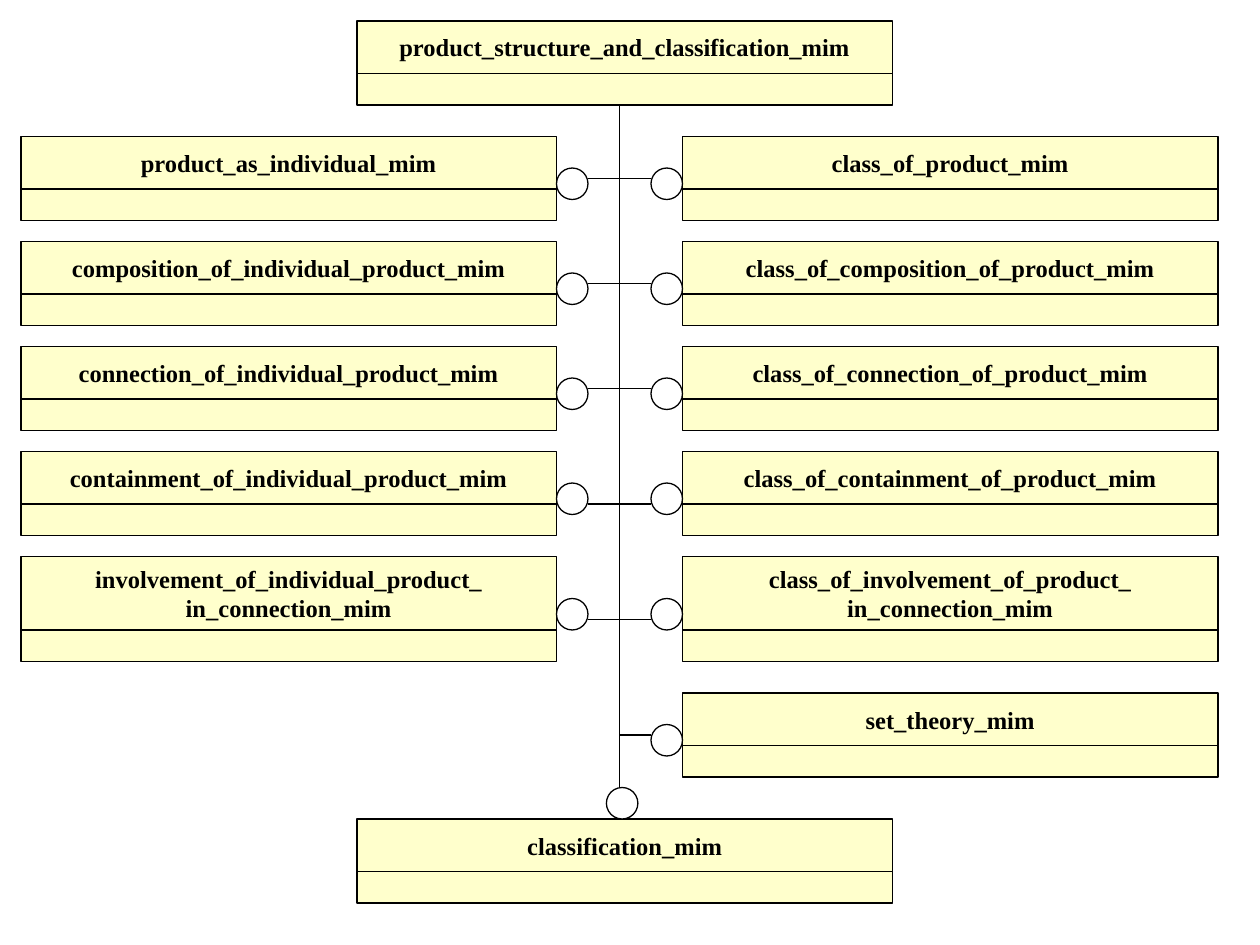
from lxml import etree
from pptx import Presentation
from pptx.dml.color import RGBColor
from pptx.enum import shapes, text
from pptx.oxml import ns
from pptx.util import Pt

COLORS = {"module": "FFFFCC", "marker": "FFFFFF", "ink": "000000"}
FONT = {"name": "Times New Roman", "size": Pt(14), "bold": True}
FRAME = {"word_wrap": False, "vertical_anchor": text.MSO_ANCHOR.MIDDLE}
LINE_WIDTH = 0.75
MODULE_WIDTH, BODY_HEIGHT, MARKER_SIZE = 306, 18, 18
LEFT_X, CENTER_X, RIGHT_X = 12, 204, 390
LEFT_END = LEFT_X + MODULE_WIDTH
TRUNK_X = 354

ROWS = [
    (78, 30, 102, "product_as_individual_mim", "class_of_product_mim"),
    (138, 30, 162, "composition_of_individual_product_mim",
     "class_of_composition_of_product_mim"),
    (198, 30, 222, "connection_of_individual_product_mim",
     "class_of_connection_of_product_mim"),
    (258, 30, 288, "containment_of_individual_product_mim",
     "class_of_containment_of_product_mim"),
    (318, 42, 354, "involvement_of_individual_product_\nin_connection_mim",
     "class_of_involvement_of_product_\nin_connection_mim"),
    (396, 30, 420, None, "set_theory_mim"),
]


def rgb(key):
    return RGBColor.from_string(COLORS[key])


class Diagram:
    def __init__(self, slide):
        self.slide = slide

    def outline(self, line):
        line.color.rgb = rgb("ink")
        line.width = Pt(LINE_WIDTH)

    def block(self, parent, kind, fill, x, y, width, height):
        block = parent.add_shape(kind, Pt(x), Pt(y), Pt(width), Pt(height))
        block.shadow.inherit = False
        block.fill.solid()
        block.fill.fore_color.rgb = rgb(fill)
        self.outline(block.line)
        return block

    def module(self, x, y, title, title_height=30):
        group = self.slide.shapes.add_group_shape().shapes
        rectangle = shapes.MSO_SHAPE.RECTANGLE
        heading = self.block(group, rectangle, "module",
                             x, y, MODULE_WIDTH, title_height)
        self.block(group, rectangle, "module",
                   x, y + title_height, MODULE_WIDTH, BODY_HEIGHT)
        frame = heading.text_frame
        frame.text = title
        for key, value in FRAME.items():
            setattr(frame, key, value)
        for paragraph in frame.paragraphs:
            paragraph.alignment = text.PP_ALIGN.CENTER
            for run in paragraph.runs:
                for key, value in FONT.items():
                    setattr(run.font, key, value)
                run.font.color.rgb = rgb("ink")

    def marker(self, x, y):
        self.block(self.slide.shapes, shapes.MSO_SHAPE.OVAL, "marker",
                   x, y, MARKER_SIZE, MARKER_SIZE)

    def line(self, x1, y1, x2, y2):
        line = self.slide.shapes.add_connector(
            shapes.MSO_CONNECTOR.STRAIGHT, Pt(x1), Pt(y1), Pt(x2), Pt(y2))
        self.outline(line.line)
        etree.SubElement(line._element.spPr, ns.qn("a:effectLst"))


def main():
    deck = Presentation()
    deck.slide_width, deck.slide_height = Pt(720), Pt(540)
    diagram = Diagram(deck.slides.add_slide(deck.slide_layouts[6]))

    diagram.module(CENTER_X, 12, "product_structure_and_classification_mim")
    diagram.module(CENTER_X, 468, "classification_mim")
    diagram.marker(346.5, 450)
    diagram.line(TRUNK_X, 450, TRUNK_X, 60)

    for top, title_height, branch_y, individual, class_title in ROWS:
        marker_y = top + title_height - 12 if title_height == 30 else top + 24
        marker_y += 6 * (top == 396) - 6 * (top == 396)
        branch_start = TRUNK_X
        if individual:
            diagram.module(LEFT_X, top, individual, title_height)
            diagram.marker(LEFT_END, marker_y)
            branch_start = LEFT_END + MARKER_SIZE
        diagram.module(RIGHT_X, top, class_title, title_height)
        diagram.marker(RIGHT_X - MARKER_SIZE, marker_y)
        diagram.line(branch_start, branch_y, RIGHT_X - MARKER_SIZE, branch_y)

    deck.save("out.pptx")


if __name__ == "__main__":
    main()
